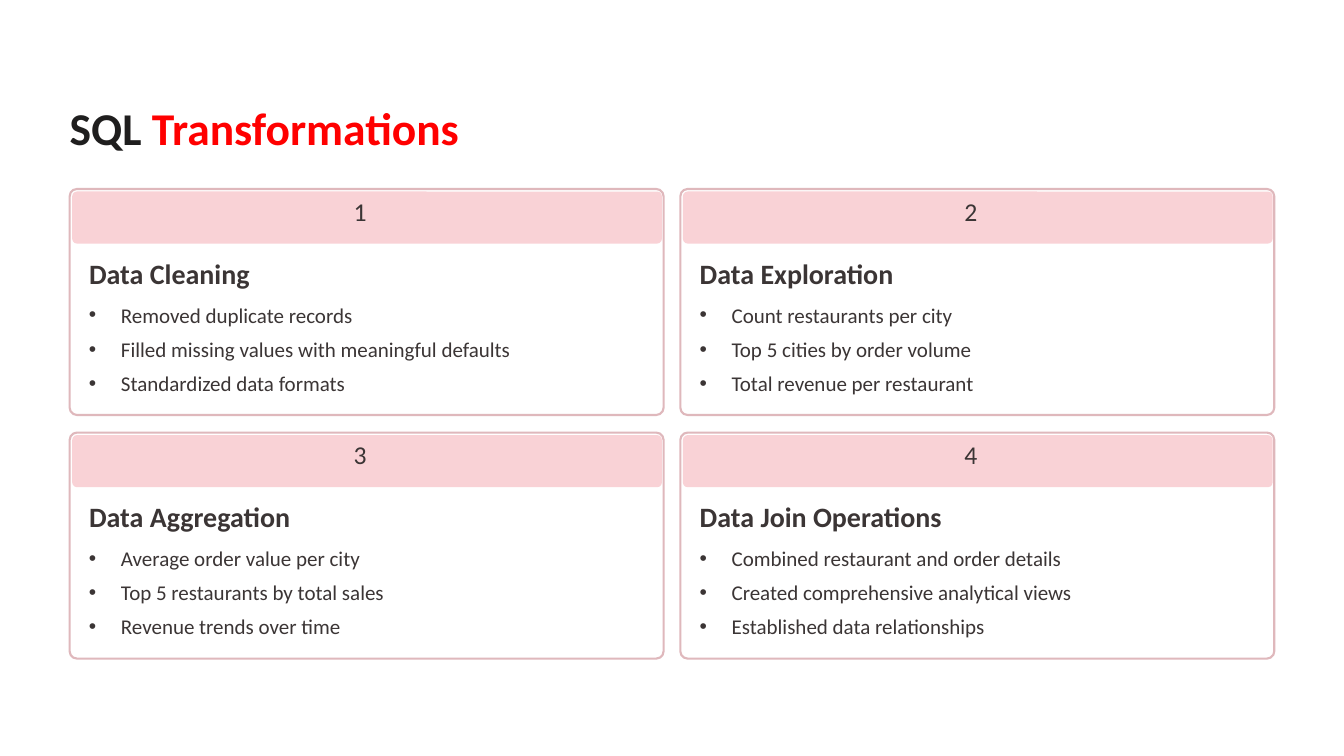
from dataclasses import dataclass

from lxml.etree import SubElement
from pptx import Presentation
from pptx.dml.color import RGBColor
from pptx.enum.shapes import MSO_SHAPE as SHAPE
from pptx.enum.text import MSO_ANCHOR as ANCHOR, MSO_AUTO_SIZE as AUTO_SIZE, PP_ALIGN as ALIGN
from pptx.oxml.ns import qn
from pptx.util import Inches, Pt


@dataclass(frozen=True)
class Theme:
    font: str = "Calibri"
    white: str = "FFFFFF"
    ink: str = "1F1E1E"
    accent: str = "FF0000"
    body: str = "3B3535"
    border: str = "DFB8BC"
    band: str = "F9D2D6"
    title_size: float = 39
    number_size: float = 22
    heading_size: float = 24
    bullet_size: float = 18


class Deck:
    def __init__(self, theme):
        self.theme = theme
        self.prs = Presentation()
        self.prs.slide_width, self.prs.slide_height = Inches(16), Inches(9)
        self.slide = self.prs.slides.add_slide(self.prs.slide_layouts[5])

    def frame(self, sp, wrap=False):
        tf = sp.text_frame
        settings = dict(margin_left=0, margin_top=0, margin_right=0, margin_bottom=0,
                        word_wrap=wrap, auto_size=AUTO_SIZE.NONE, vertical_anchor=ANCHOR.TOP)
        for name, value in settings.items():
            setattr(tf, name, value)
        return tf

    def run(self, p, text, size, color, bold=False):
        r = p.add_run()
        r.text = text
        for name, value in dict(name=self.theme.font, size=Pt(size), bold=bold).items():
            setattr(r.font, name, value)
        r.font.color.rgb = RGBColor.from_string(color)

    def title(self, x, y, w, h, parts):
        sp = self.slide.shapes.title
        sp.left, sp.top, sp.width, sp.height = map(Inches, (x, y, w, h))
        p = self.frame(sp).paragraphs[0]
        p.alignment, p.line_spacing = ALIGN.LEFT, Pt(49)
        for text, color in parts:
            self.run(p, text, self.theme.title_size, color, bold=True)

    def panel(self, x, y, w, h, corner, fill, line=None):
        sp = self.slide.shapes.add_shape(SHAPE.ROUNDED_RECTANGLE, *map(Inches, (x, y, w, h)))
        sp.shadow.inherit = False
        sp.adjustments[0] = corner
        sp.fill.solid()
        sp.fill.fore_color.rgb = RGBColor.from_string(fill)
        if line:
            sp.line.color.rgb = RGBColor.from_string(line)
            sp.line.width = Pt(1.8)
        else:
            sp.line.fill.background()

    def label(self, x, y, w, h, text, size, spacing, bold=False):
        sp = self.slide.shapes.add_textbox(*map(Inches, (x, y, w, h)))
        p = self.frame(sp).paragraphs[0]
        p.line_spacing = Pt(spacing)
        self.run(p, text, size, self.theme.body, bold)

    def bullets(self, x, y, w, h, items):
        sp = self.slide.shapes.add_textbox(*map(Inches, (x, y, w, h)))
        tf = self.frame(sp, wrap=True)
        for i, item in enumerate(items):
            p = tf.add_paragraph() if i else tf.paragraphs[0]
            pPr = p._p.get_or_add_pPr()
            pPr.set("marL", str(Inches(0.38)))
            pPr.set("indent", str(-Inches(0.38)))
            SubElement(pPr, qn("a:buFont"), typeface="Arial")
            SubElement(pPr, qn("a:buChar"), char="•")
            p.line_spacing = Pt(23.5)
            if i:
                p.space_before = Pt(5.7)
            self.run(p, item, self.theme.bullet_size, self.theme.body)

    def card(self, x, y, number, heading, items):
        th = self.theme
        self.panel(x, y, 7.07, 2.69, 0.032, th.white, th.border)
        self.panel(x + 0.03, y + 0.03, 7.02, 0.62, 0.092, th.band)
        self.label(x + 3.38, y + 0.14, 0.31, 0.39, str(number), th.number_size, 22)
        self.label(x + 0.23, y + 0.86, 2.98, 0.34, heading, th.heading_size, 24.5, bold=True)
        self.bullets(x + 0.23, y + 1.32, 6.6, 1.14, items)


CARDS = [
    ("Data Cleaning", ["Removed duplicate records",
                       "Filled missing values with meaningful defaults",
                       "Standardized data formats"]),
    ("Data Exploration", ["Count restaurants per city",
                          "Top 5 cities by order volume",
                          "Total revenue per restaurant"]),
    ("Data Aggregation", ["Average order value per city",
                          "Top 5 restaurants by total sales",
                          "Revenue trends over time"]),
    ("Data Join Operations", ["Combined restaurant and order details",
                              "Created comprehensive analytical views",
                              "Established data relationships"]),
]


def main():
    theme = Theme()
    deck = Deck(theme)

    # Title
    deck.title(0.83, 1.16, 5.87, 0.68, [("SQL ", theme.ink), ("Transformations", theme.accent)])

    # Two-by-two grid of numbered cards
    for i, (heading, items) in enumerate(CARDS):
        row, col = divmod(i, 2)
        deck.card(0.83 + col * 7.27, 2.25 + row * 2.9, i + 1, heading, items)

    deck.prs.save("out.pptx")


if __name__ == "__main__":
    main()
